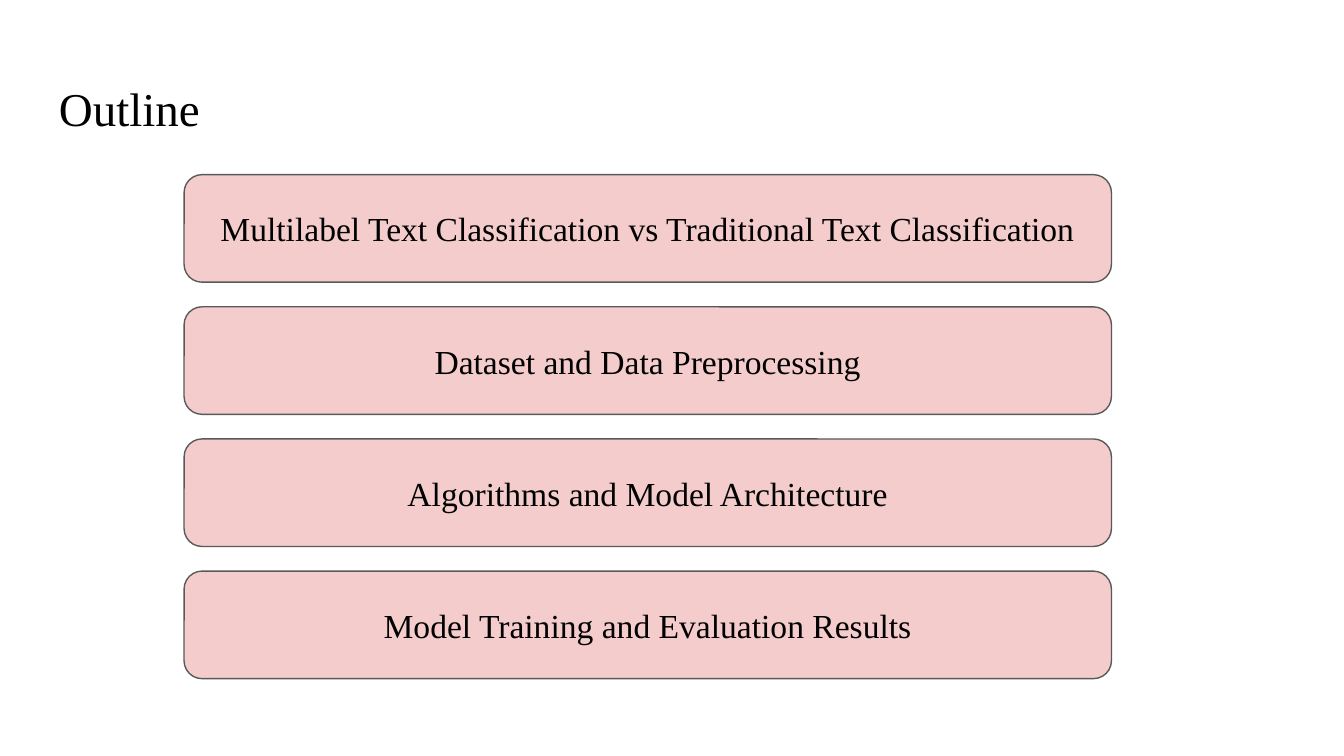
from pptx import Presentation
from pptx.dml.color import RGBColor
from pptx.enum.shapes import MSO_SHAPE
from pptx.enum.text import MSO_ANCHOR, PP_ALIGN
from pptx.util import Inches, Pt

TITLE = "Outline"
TOPICS = [
    "Multilabel Text Classification vs Traditional Text Classification",
    "Dataset and Data Preprocessing",
    "Algorithms and Model Architecture",
    "Model Training and Evaluation Results",
]
COLORS = {"text": "000000", "card": "F4CCCC", "edge": "595959"}
FONT = "Times New Roman"
PAGE = 10  # slide width, in 16:9
LEFT, WIDTH, HEIGHT = 1.37, 6.9, 0.8
FIRST, LAST = 1.3, 4.25  # tops of the first and last cards


def color(name):
    return RGBColor.from_string(COLORS[name])


def write(shape, text, size, align, anchor):
    frame = shape.text_frame
    inset = Inches(0.1)
    layout = {
        "word_wrap": True, "vertical_anchor": anchor,
        "margin_left": inset, "margin_right": inset,
        "margin_top": inset, "margin_bottom": inset,
    }
    for key, value in layout.items():
        setattr(frame, key, value)
    para = frame.paragraphs[0]
    para.alignment = align
    run = para.add_run()
    run.text = text
    for key, value in {"name": FONT, "size": Pt(size)}.items():
        setattr(run.font, key, value)
    run.font.color.rgb = color("text")


def add_card(slide, text, top):
    box = [Inches(n) for n in (LEFT, top, WIDTH, HEIGHT)]
    card = slide.shapes.add_shape(MSO_SHAPE.ROUNDED_RECTANGLE, *box)
    card.shadow.inherit = False
    card.fill.solid()
    card.fill.fore_color.rgb = color("card")
    card.line.color.rgb = color("edge")
    card.line.width = Pt(0.75)
    write(card, text, 18, PP_ALIGN.CENTER, MSO_ANCHOR.MIDDLE)


def main():
    deck = Presentation()
    deck.slide_width, deck.slide_height = Inches(PAGE), Inches(PAGE * 9 / 16)
    slide = deck.slides.add_slide(deck.slide_layouts[6])

    box = [Inches(n) for n in (0.34, 0.49, 9.32, 0.63)]
    title = slide.shapes.add_textbox(*box)
    write(title, TITLE, 25.2, PP_ALIGN.LEFT, MSO_ANCHOR.TOP)

    step = (LAST - FIRST) / (len(TOPICS) - 1)
    for row, topic in enumerate(TOPICS):
        add_card(slide, topic, FIRST + row * step)

    deck.save("out.pptx")


if __name__ == "__main__":
    main()
